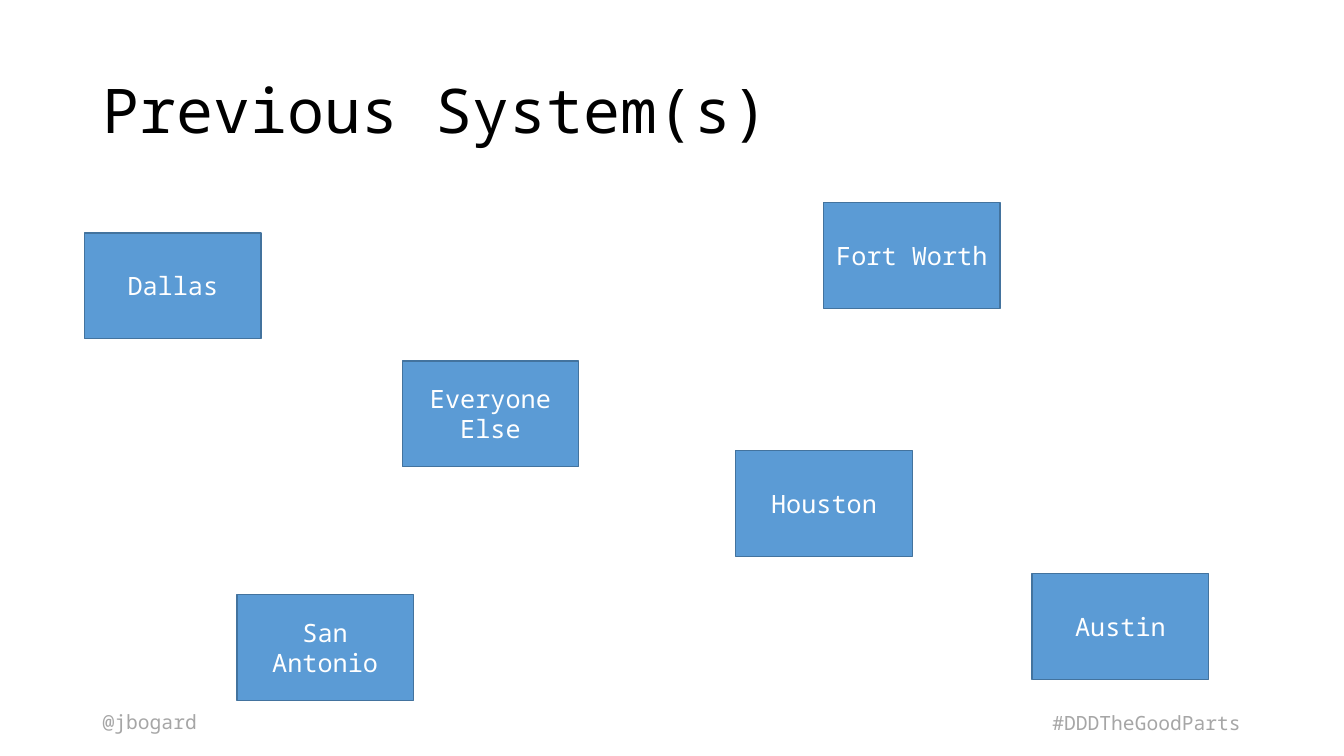
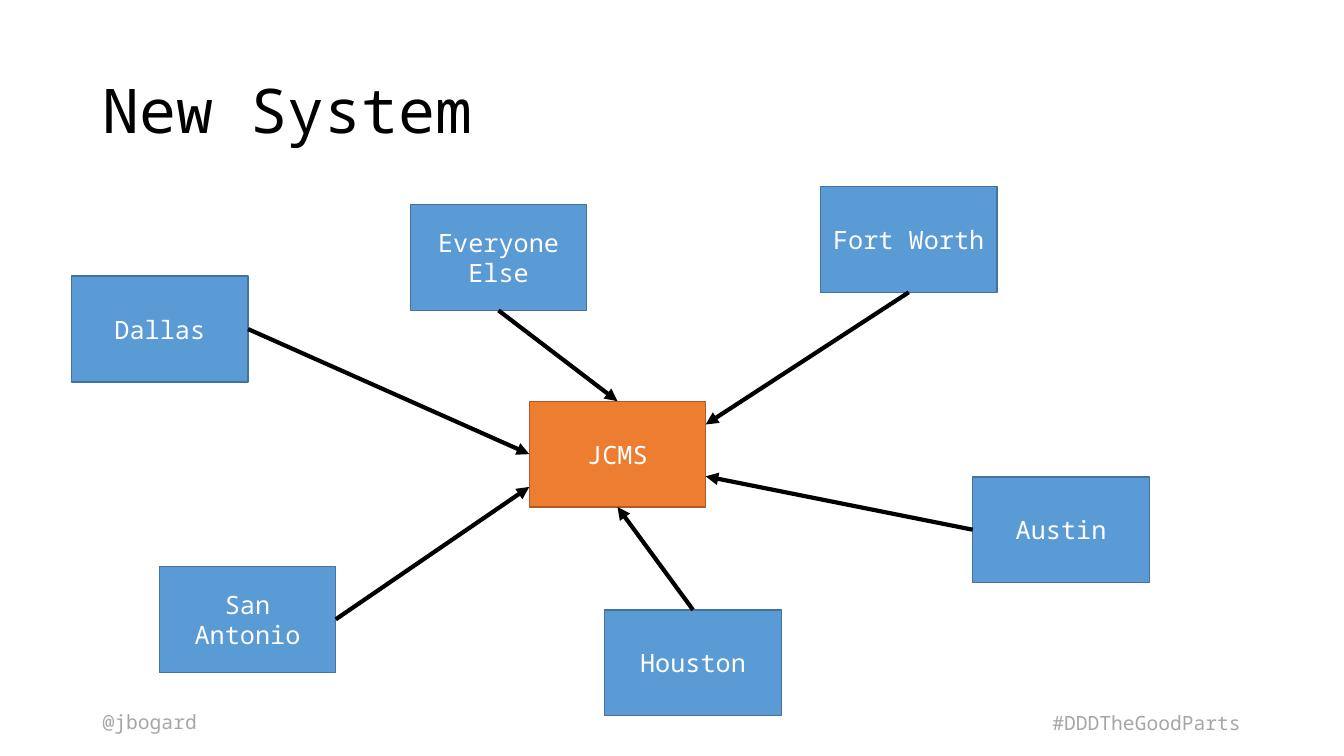
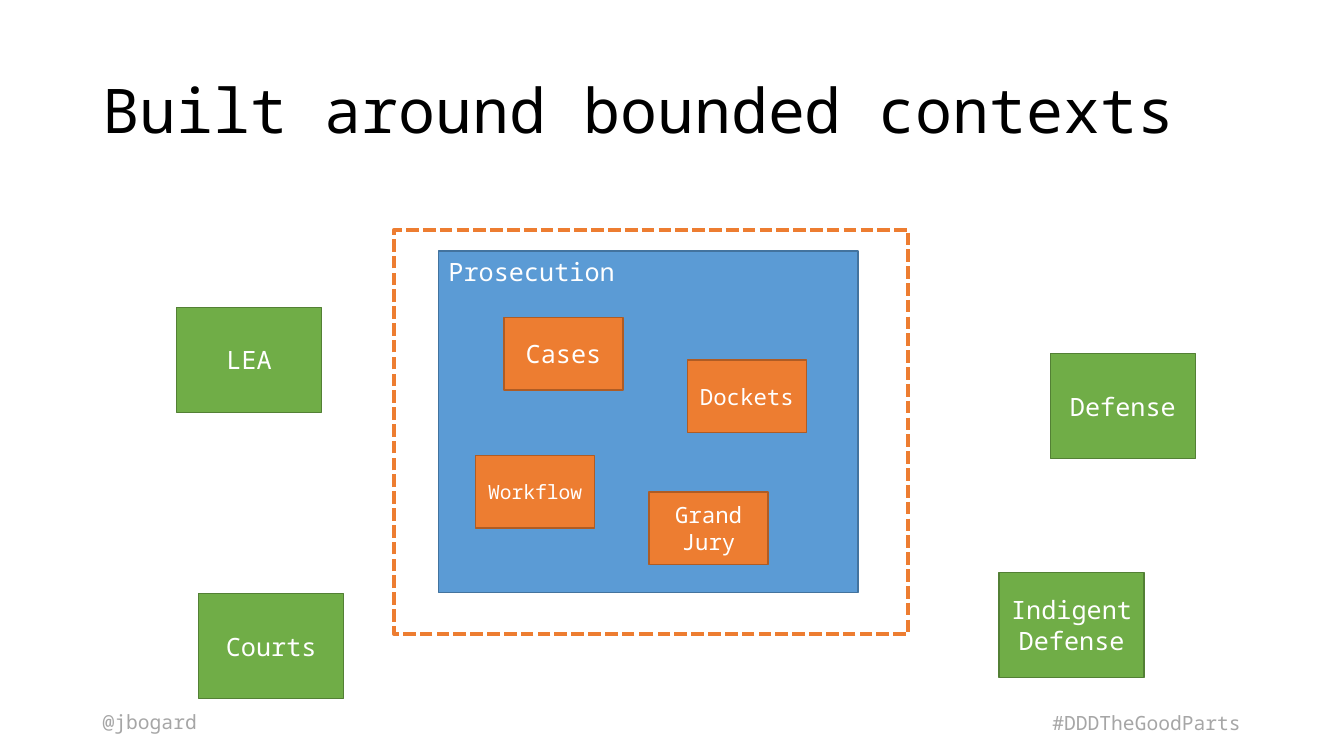
from dataclasses import dataclass

from lxml import etree
from pptx import Presentation
from pptx import util as u
from pptx.dml.color import RGBColor
from pptx.enum import dml, shapes, text
from pptx.oxml import ns

# Shared look
FONT = "Noto Sans Mono"
BLACK, WHITE, GREY = "000000", "FFFFFF", "A6A6A6"
BLUE, ORANGE, GREEN = "5B9BD5", "ED7D31", "70AD47"
EDGES = {BLUE: "43739E", ORANGE: "AF5C24", GREEN: "538035"}
SLIDE_WIDTH, SLIDE_HEIGHT = u.Inches(13.33), u.Inches(7.5)
LEFT, CENTER, RIGHT = text.PP_ALIGN.LEFT, text.PP_ALIGN.CENTER, text.PP_ALIGN.RIGHT
TOP, MIDDLE = text.MSO_ANCHOR.TOP, text.MSO_ANCHOR.MIDDLE


@dataclass(frozen=True)
class Area:
    """A rectangle in percent of the slide's width and height."""
    left: float
    top: float
    width: float
    height: float

    def point(self, across: float, down: float) -> tuple[int, int]:
        """A point given as shares of the rectangle's own size."""
        return (int(SLIDE_WIDTH * (self.left + across * self.width) / 100),
                int(SLIDE_HEIGHT * (self.top + down * self.height) / 100))

    def frame(self) -> tuple[int, int, int, int]:
        left, top = self.point(0, 0)
        right, bottom = self.point(1, 1)
        return left, top, right - left, bottom - top


@dataclass(frozen=True)
class Label:
    words: str
    size: float = 18
    color: str = WHITE
    align: text.PP_ALIGN = CENTER
    anchor: text.MSO_ANCHOR = MIDDLE
    spacing: float = 1.0


@dataclass(frozen=True)
class Block:
    label: Label
    area: Area
    fill: str


@dataclass(frozen=True)
class Arrow:
    source: str
    leave: tuple[float, float]
    arrive: tuple[float, float]


def rgb(value: str) -> RGBColor:
    return RGBColor.from_string(value)


def write(box, label: Label) -> None:
    frame = box.text_frame
    frame.word_wrap = True
    frame.vertical_anchor = label.anchor
    para = frame.paragraphs[0]
    para.alignment = label.align
    para.line_spacing = label.spacing
    span = para.add_run()
    span.text = label.words
    span.font.name = FONT
    span.font.size = u.Pt(label.size)
    span.font.color.rgb = rgb(label.color)


def add_text(page, area: Area, label: Label) -> None:
    write(page.shapes.add_textbox(*area.frame()), label)


def add_rectangle(page, area: Area, edge: str, weight: float):
    box = page.shapes.add_shape(shapes.MSO_SHAPE.RECTANGLE, *area.frame())
    box.shadow.inherit = False
    box.line.color.rgb = rgb(edge)
    box.line.width = u.Pt(weight)
    return box


def add_block(page, block: Block) -> None:
    box = add_rectangle(page, block.area, EDGES[block.fill], 1)
    box.fill.solid()
    box.fill.fore_color.rgb = rgb(block.fill)
    write(box, block.label)


def add_dashed_border(page, area: Area) -> None:
    border = add_rectangle(page, area, ORANGE, 3)
    border.fill.background()
    border.line.dash_style = dml.MSO_LINE.SQUARE_DOT


def add_arrow(page, start: tuple[int, int], end: tuple[int, int]) -> None:
    arrow = page.shapes.add_connector(shapes.MSO_CONNECTOR.STRAIGHT, *start, *end)
    arrow.line.color.rgb = rgb(BLACK)
    arrow.line.width = u.Pt(3)
    outline = arrow.line._get_or_add_ln()
    etree.SubElement(outline, ns.qn("a:tailEnd"), type="triangle")
    etree.SubElement(outline.getparent(), ns.qn("a:effectLst"))


def add_page(deck, title: str):
    """A blank page with the shared footers and title."""
    page = deck.slides.add_slide(deck.slide_layouts[6])
    add_text(page, Area(6.9, 93.2, 10.95, 4.53),
             Label("@jbogard", 14, GREY, LEFT, TOP))
    add_text(page, Area(70.2, 93.33, 22.88, 4.53),
             Label("#DDDTheGoodParts", 14, GREY, RIGHT, TOP))
    add_text(page, Area(6.9, 5.33, 86.25, 19.33),
             Label(title, 44, BLACK, LEFT, MIDDLE, 0.9))
    return page


# Cities: top left corners before and after the new system
CITY_SIZE = (13.13, 14)
OLD_CITIES = {
    "Dallas": (6.3, 30.8),
    "Fort Worth": (61.28, 26.8),
    "San Antonio": (17.63, 78.67),
    "Houston": (54.75, 59.6),
    "Everyone Else": (29.93, 47.73),
    "Austin": (76.8, 75.87),
}
NEW_CITIES = {
    "Dallas": (5.33, 36.53),
    "Fort Worth": (61.05, 24.67),
    "San Antonio": (11.85, 74.93),
    "Houston": (45, 80.67),
    "Everyone Else": (30.53, 27.07),
    "Austin": (72.38, 63.07),
}
HUB = Area(39.38, 53.07, *CITY_SIZE)
ARROWS = [
    Arrow("Dallas", (1, 0.5), (0, 0.5)),
    Arrow("San Antonio", (1, 0.5), (0, 0.81)),
    Arrow("Houston", (0.5, 0), (0.5, 1)),
    Arrow("Everyone Else", (0.5, 1), (0.5, 0)),
    Arrow("Fort Worth", (0.5, 1), (1, 0.22)),
    Arrow("Austin", (0, 0.5), (1, 0.71)),
]

# Bounded contexts
MODULE_SIZE = (8.85, 9.6)
PARTNER_SIZE = (10.8, 13.87)
CONTEXTS = [
    Block(Label("Prosecution", align=LEFT, anchor=TOP),
          Area(32.63, 33.2, 31.2, 45.2), BLUE),
    Block(Label("Cases"), Area(37.5, 42, *MODULE_SIZE), ORANGE),
    Block(Label("Workflow", 14), Area(35.4, 60.27, *MODULE_SIZE), ORANGE),
    Block(Label("Dockets", 16), Area(51.15, 47.6, *MODULE_SIZE), ORANGE),
    Block(Label("Grand Jury", 16), Area(48.3, 65.07, *MODULE_SIZE), ORANGE),
    Block(Label("LEA"), Area(13.13, 40.67, *PARTNER_SIZE), GREEN),
    Block(Label("Courts"), Area(14.78, 78.53, *PARTNER_SIZE), GREEN),
    Block(Label("Defense"), Area(78.15, 46.8, *PARTNER_SIZE), GREEN),
    Block(Label("Indigent Defense"), Area(74.33, 75.73, *PARTNER_SIZE), GREEN),
]


def add_cities(page, corners: dict[str, tuple[float, float]]) -> dict[str, Area]:
    areas = {name: Area(*corner, *CITY_SIZE) for name, corner in corners.items()}
    for name, area in areas.items():
        add_block(page, Block(Label(name), area, BLUE))
    return areas


def main() -> None:
    deck = Presentation()
    deck.slide_width, deck.slide_height = SLIDE_WIDTH, SLIDE_HEIGHT

    # Separate systems
    add_cities(add_page(deck, "Previous System(s)"), OLD_CITIES)

    # One hub for all cities
    page = add_page(deck, "New System")
    cities = add_cities(page, NEW_CITIES)
    add_block(page, Block(Label("JCMS"), HUB, ORANGE))
    for arrow in ARROWS:
        add_arrow(page, cities[arrow.source].point(*arrow.leave),
                  HUB.point(*arrow.arrive))

    # Contexts and their boundary
    page = add_page(deck, "Built around bounded contexts")
    for block in CONTEXTS:
        add_block(page, block)
    add_dashed_border(page, Area(29.33, 30.4, 38.25, 53.47))

    deck.save("out.pptx")


if __name__ == "__main__":
    main()
